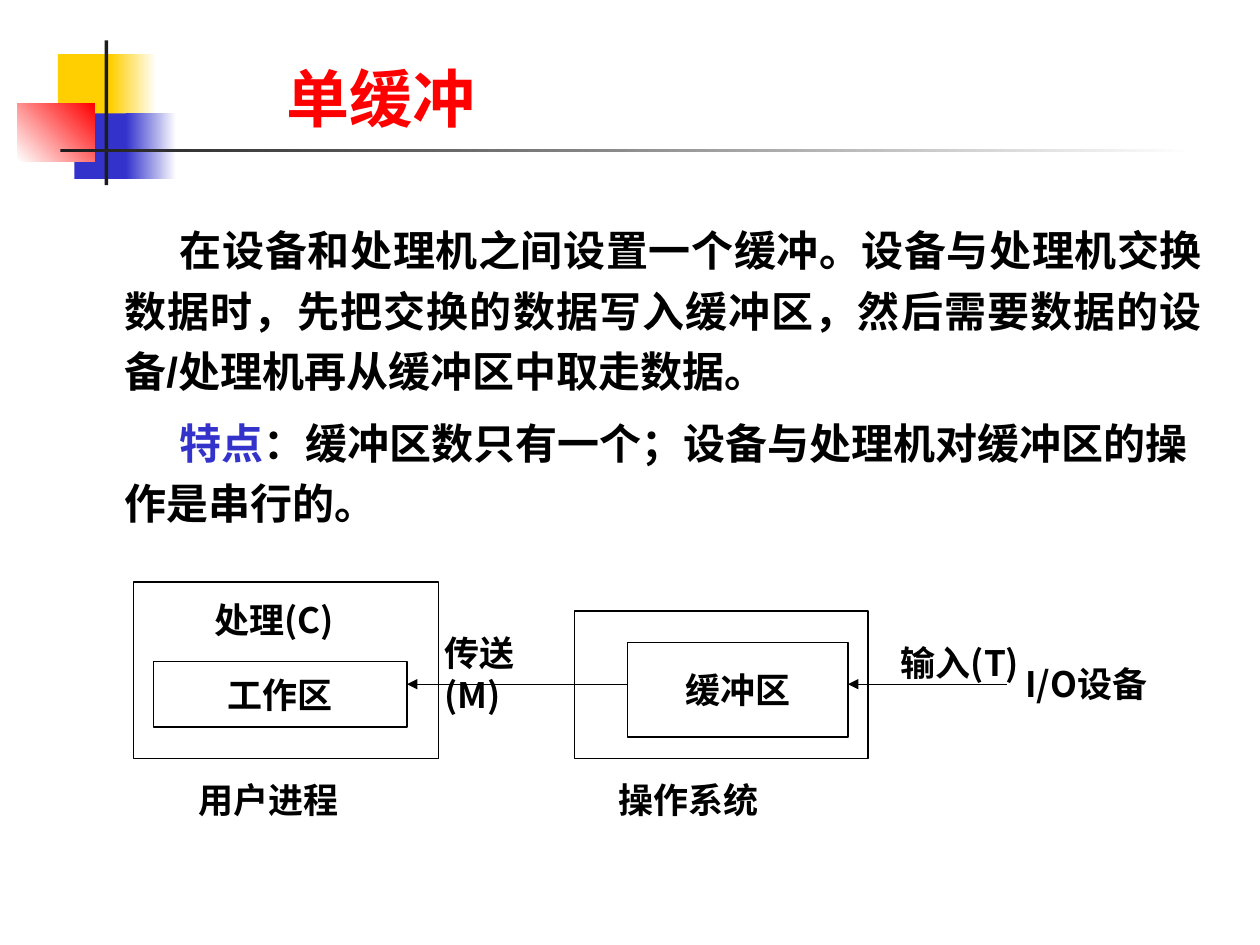
from dataclasses import dataclass

from lxml import etree
from pptx import Presentation
from pptx.dml.color import RGBColor
from pptx.enum.shapes import MSO_CONNECTOR, MSO_SHAPE
from pptx.enum.text import MSO_ANCHOR, PP_ALIGN
from pptx.oxml.ns import qn
from pptx.util import Inches, Pt

RECTANGLE = MSO_SHAPE.RECTANGLE
STRAIGHT = MSO_CONNECTOR.STRAIGHT
TOP, MIDDLE, BOTTOM = MSO_ANCHOR.TOP, MSO_ANCHOR.MIDDLE, MSO_ANCHOR.BOTTOM
LEFT, CENTER, JUSTIFY = PP_ALIGN.LEFT, PP_ALIGN.CENTER, PP_ALIGN.JUSTIFY
TITLE_ONLY = 5
COLUMNS, ROWS = 100, 75
CELL = Inches(0.1)


@dataclass(frozen=True)
class Theme:
    """Colours, fonts and type sizes of the slide."""

    black: str = "000000"
    white: str = "FFFFFF"
    red: str = "FF0000"
    yellow: str = "FFCF01"
    blue: str = "3333CC"
    charcoal: str = "1C1C1C"
    latin: str = "Arial"
    box_font: str = "Roboto"
    chinese: str = "Noto Sans CJK SC"
    title_size: float = 36
    body_size: float = 24
    label_size: float = 20
    body_leading: float = 34.7
    label_leading: float = 24
    line_width: float = 0.75


THEME = Theme()


def grid(*cells):
    """Turn counts of grid cells into lengths."""
    return [round(cell * CELL) for cell in cells]


def add_run(paragraph, text, size, font, color):
    """Append one bold run with Latin and Chinese fonts."""
    run = paragraph.add_run()
    run.text = text
    run.font.size = Pt(size)
    run.font.name = font
    run.font.bold = True
    run.font.color.rgb = RGBColor.from_string(color)
    latin = run.font._element.find(qn("a:latin"))
    east_asian = etree.Element(qn("a:ea"), typeface=THEME.chinese)
    latin.addnext(east_asian)


def set_frame(frame, anchor, wrap=True, top=0.05, bottom=0.05):
    """Set anchor, wrapping and insets of a text frame."""
    frame.vertical_anchor = anchor
    frame.word_wrap = wrap
    frame.margin_left = frame.margin_right = Inches(0.1)
    frame.margin_top, frame.margin_bottom = Inches(top), Inches(bottom)


def add_rectangle(slide, area, start, end=None, angle=0, outlined=False):
    """Draw a rectangle with a plain or gradient fill."""
    shape = slide.shapes.add_shape(RECTANGLE, *grid(*area))
    shape.shadow.inherit = False
    if end:
        shape.fill.gradient()
        shape.fill.gradient_angle = angle
        for stop, color in zip(shape.fill.gradient_stops, (start, end)):
            stop.color.rgb = RGBColor.from_string(color)
    else:
        shape.fill.solid()
        shape.fill.fore_color.rgb = RGBColor.from_string(start)
    if outlined:
        shape.line.color.rgb = RGBColor.from_string(THEME.black)
        shape.line.width = Pt(THEME.line_width)
    else:
        shape.line.fill.background()
    return shape


def write_label(frame, text, font, alignment):
    """Write one diagram label into a text frame."""
    paragraph = frame.paragraphs[0]
    paragraph.alignment = alignment
    paragraph.line_spacing = Pt(THEME.label_leading)
    add_run(paragraph, text, THEME.label_size, font, THEME.black)


def add_box(slide, area, text=None):
    """Draw an outlined diagram box, with a centred label if given."""
    shape = add_rectangle(slide, area, THEME.white, outlined=True)
    if text:
        set_frame(shape.text_frame, MIDDLE, wrap=False)
        write_label(shape.text_frame, text, THEME.box_font, CENTER)


def add_label(slide, area, text, wrap=True):
    """Place a free diagram label."""
    frame = slide.shapes.add_textbox(*grid(*area)).text_frame
    set_frame(frame, TOP, wrap, top=0.08)
    write_label(frame, text, THEME.chinese, LEFT)


def add_arrow(slide, start, end, row):
    """Draw a horizontal arrow along a grid row."""
    arrow = slide.shapes.add_connector(STRAIGHT, *grid(start, row, end, row))
    arrow.line.color.rgb = RGBColor.from_string(THEME.black)
    arrow.line.width = Pt(THEME.line_width)
    etree.SubElement(arrow.line._get_or_add_ln(), qn("a:tailEnd"), type="triangle")
    etree.SubElement(arrow._element.spPr, qn("a:effectLst"))


def add_ornament(slide):
    """Draw the coloured squares and crossing bars."""
    add_rectangle(slide, (4.6, 4.3, 4.8, 5.2), THEME.yellow)
    add_rectangle(slide, (8.8, 4.3, 3.6, 5.2), THEME.yellow, THEME.white)
    add_rectangle(slide, (5.9, 9, 4.6, 5.2), THEME.blue)
    add_rectangle(slide, (10, 9, 4, 5.2), THEME.blue, THEME.white)
    add_rectangle(slide, (1.4, 8.2, 6.1, 4.6), THEME.white, THEME.red, 45)
    add_rectangle(slide, (8.3, 3.2, 0.3, 11.5), THEME.charcoal)
    add_rectangle(slide, (4.8, 11.8, 90, 0.3), THEME.charcoal, THEME.white)


def format_title(slide, text):
    """Move the title placeholder and write the title."""
    title = slide.shapes.title
    title.left, title.top, title.width, title.height = grid(21.7, 2.4, 55, 8.3)
    set_frame(title.text_frame, BOTTOM, bottom=0)
    paragraph = title.text_frame.paragraphs[0]
    paragraph.alignment = LEFT
    add_run(paragraph, text, THEME.title_size, THEME.latin, THEME.red)


def add_body(slide, paragraphs):
    """Write the indented explanatory paragraphs."""
    frame = slide.shapes.add_textbox(*grid(5.1, 16.2, 91.3, 35.7)).text_frame
    set_frame(frame, TOP, top=0.08)
    for index, (alignment, runs) in enumerate(paragraphs):
        paragraph = frame.add_paragraph() if index else frame.paragraphs[0]
        paragraph.alignment = alignment
        paragraph.line_spacing = Pt(THEME.body_leading)
        paragraph.space_before = Pt(6 if index else 0)
        properties = paragraph._p.get_or_add_pPr()
        properties.set("marL", str(Inches(0.38)))
        properties.set("indent", str(Inches(0.44)))
        for text, color in runs:
            add_run(paragraph, text, THEME.body_size, THEME.latin, color)


def add_diagram(slide):
    """Draw the single-buffer data flow."""
    add_box(slide, (10.6, 46.2, 24.2, 14))
    add_box(slide, (45.6, 48.5, 23.3, 11.7))
    add_box(slide, (12.2, 52.5, 20.1, 5.2), "工作区")
    add_box(slide, (49.8, 51, 17.5, 7.5), "缓冲区")
    for column, text in ((14.8, "用户进程"), (48.1, "操作系统")):
        add_label(slide, (column, 61, 15, 4.4), text)
    add_label(slide, (34.3, 49.3, 10.8, 7.7), "传送(M)")
    add_label(slide, (70.5, 50.1, 11.6, 7.7), "输入(T)")
    add_label(slide, (80.4, 51.8, 13.3, 4.4), "I/O设备")
    for start, end in ((49.8, 32.3), (79.9, 67.3)):
        add_arrow(slide, start, end, 54.3)
    add_label(slide, (16, 46.7, 13.2, 4.4), "处理(C)", wrap=False)


def main():
    """Build and save the single-buffer slide."""
    presentation = Presentation()
    presentation.slide_width, presentation.slide_height = grid(COLUMNS, ROWS)
    slide = presentation.slides.add_slide(presentation.slide_layouts[TITLE_ONLY])
    add_ornament(slide)
    format_title(slide, "单缓冲")
    add_body(slide, [
        (JUSTIFY, [("在设备和处理机之间设置一个缓冲。设备与处理机交换数据时，"
                    "先把交换的数据写入缓冲区，然后需要数据的设备/处理机"
                    "再从缓冲区中取走数据。", THEME.black)]),
        (LEFT, [("特点", THEME.blue),
                ("：缓冲区数只有一个；设备与处理机对缓冲区的操作是串行的。",
                 THEME.black)]),
    ])
    add_diagram(slide)
    presentation.save("out.pptx")


if __name__ == "__main__":
    main()
